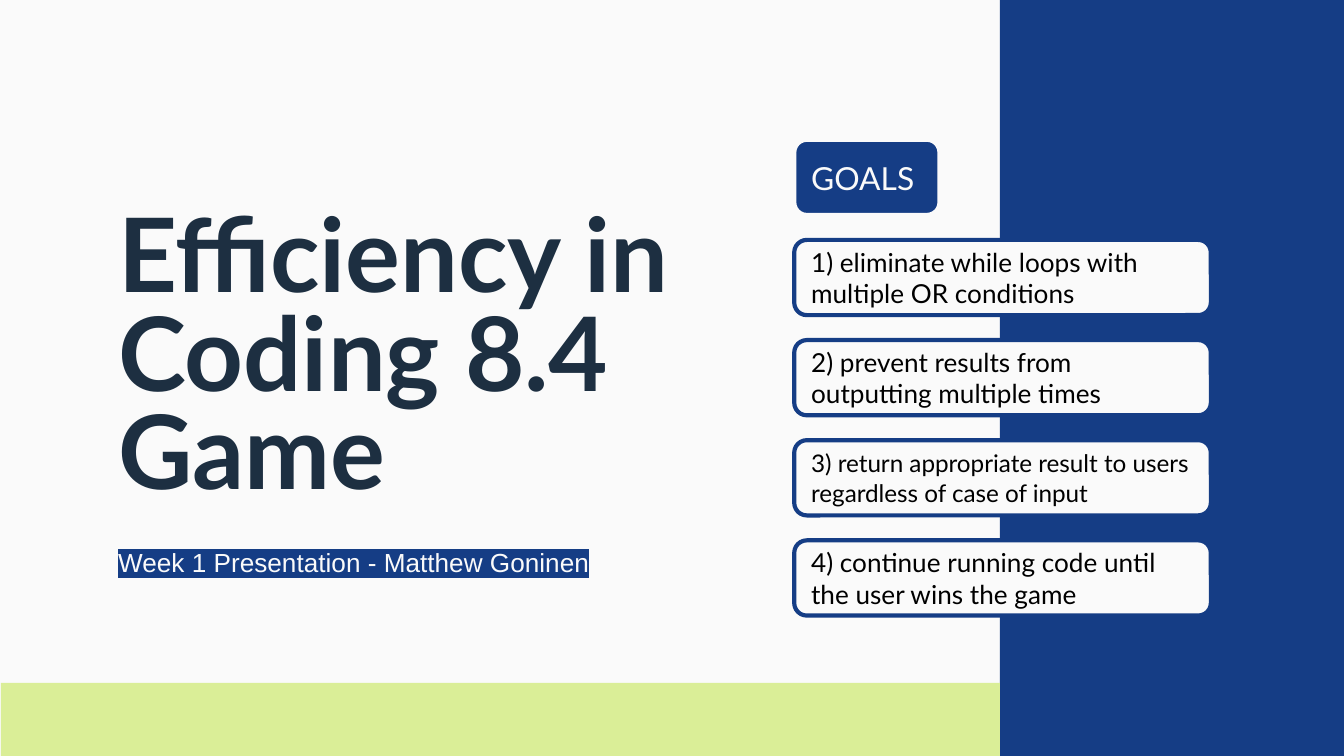
from lxml.etree import SubElement
from pptx import Presentation
from pptx.dml.color import RGBColor
from pptx.enum.shapes import MSO_SHAPE
from pptx.enum.text import MSO_ANCHOR, PP_ALIGN
from pptx.oxml.ns import qn
from pptx.util import Pt

# Content
TITLE = "Efficiency in Coding 8.4 Game"
SUBTITLE = "Week 1 Presentation - Matthew Goninen"
HEADING = "GOALS"
GOALS = [
    ("1) eliminate while loops with multiple OR conditions", 14),
    ("2) prevent results from outputting multiple times", 14),
    ("3) return appropriate result to users regardless of case of input", 13),
    ("4) continue running code until the user wins the game", 14),
]

# Colours and layout, in points
BLUE, GREEN, PAPER, NAVY, BLACK = "153D85", "DAEE97", "FAFAFA", "1D2F41", "000000"
WIDTH, HEIGHT = 720, 405
PANEL_LEFT = 535.7
BAND_TOP = 365.8
TEXT_LEFT, TEXT_WIDTH = 56.2, 332
CARD_LEFT, CARD_TOP, CARD_HEIGHT, CARD_STEP = 425.5, 74.9, 40.3, 53.65
HEADING_WIDTH, GOAL_WIDTH = 77.8, 223.2
INSET = 7.2


def color(value):
    return RGBColor.from_string(value)


def add_box(kind, left, top, width, height, fill, line=None):
    box = page.shapes.add_shape(kind, Pt(left), Pt(top), Pt(width), Pt(height))
    box.shadow.inherit = False
    box.fill.solid()
    box.fill.fore_color.rgb = color(fill)
    if line:
        box.line.color.rgb = color(line)
        box.line.width = Pt(2.25)
    else:
        box.line.fill.background()
    return box


def write(box, text, size, ink, font="Lato", bold=False, anchor=MSO_ANCHOR.MIDDLE, spacing=1.0):
    frame = box.text_frame
    frame.word_wrap = True
    frame.vertical_anchor = anchor
    frame.margin_left = frame.margin_right = Pt(INSET)
    frame.margin_top = frame.margin_bottom = Pt(INSET)
    para = frame.paragraphs[0]
    para.alignment = PP_ALIGN.LEFT
    para.line_spacing = spacing
    span = para.add_run()
    span.text = text
    span.font.size = Pt(size)
    span.font.bold = bold
    span.font.color.rgb = color(ink)
    span.font.name = font
    return span


def highlight(span, value):
    props = span.font._element
    mark = SubElement(props, qn("a:highlight"))
    SubElement(mark, qn("a:srgbClr")).set("val", value)
    props.find(qn("a:solidFill")).addnext(mark)


def add_text(top, height):
    return page.shapes.add_textbox(Pt(TEXT_LEFT), Pt(top), Pt(TEXT_WIDTH), Pt(height))


deck = Presentation()
deck.slide_width, deck.slide_height = Pt(WIDTH), Pt(HEIGHT)
page = deck.slides.add_slide(deck.slide_layouts[6])
page.background.fill.solid()
page.background.fill.fore_color.rgb = color(PAPER)

# Side panel and bottom band
add_box(MSO_SHAPE.RECTANGLE, PANEL_LEFT, 0, WIDTH - PANEL_LEFT, HEIGHT, BLUE)
add_box(MSO_SHAPE.RECTANGLE, 0.5, BAND_TOP, PANEL_LEFT - 0.5, HEIGHT - BAND_TOP, GREEN)

# Title and subtitle
write(add_text(57, 223), TITLE, 55, NAVY, bold=True, anchor=MSO_ANCHOR.BOTTOM, spacing=0.8)
subtitle = write(add_text(283, 26), SUBTITLE, 14, PAPER, font="Arial",
                 anchor=MSO_ANCHOR.TOP, spacing=1.15)
highlight(subtitle, BLUE)

# Goals: heading card, then one card per goal
cards = [(HEADING, 17, HEADING_WIDTH, BLUE, PAPER, PAPER)]
cards += [(text, size, GOAL_WIDTH, PAPER, BLUE, BLACK) for text, size in GOALS]
for index, (text, size, width, fill, line, ink) in enumerate(cards):
    card = add_box(MSO_SHAPE.ROUNDED_RECTANGLE, CARD_LEFT, CARD_TOP + index * CARD_STEP,
                   width, CARD_HEIGHT, fill, line)
    write(card, text, size, ink)

deck.save("out.pptx")
